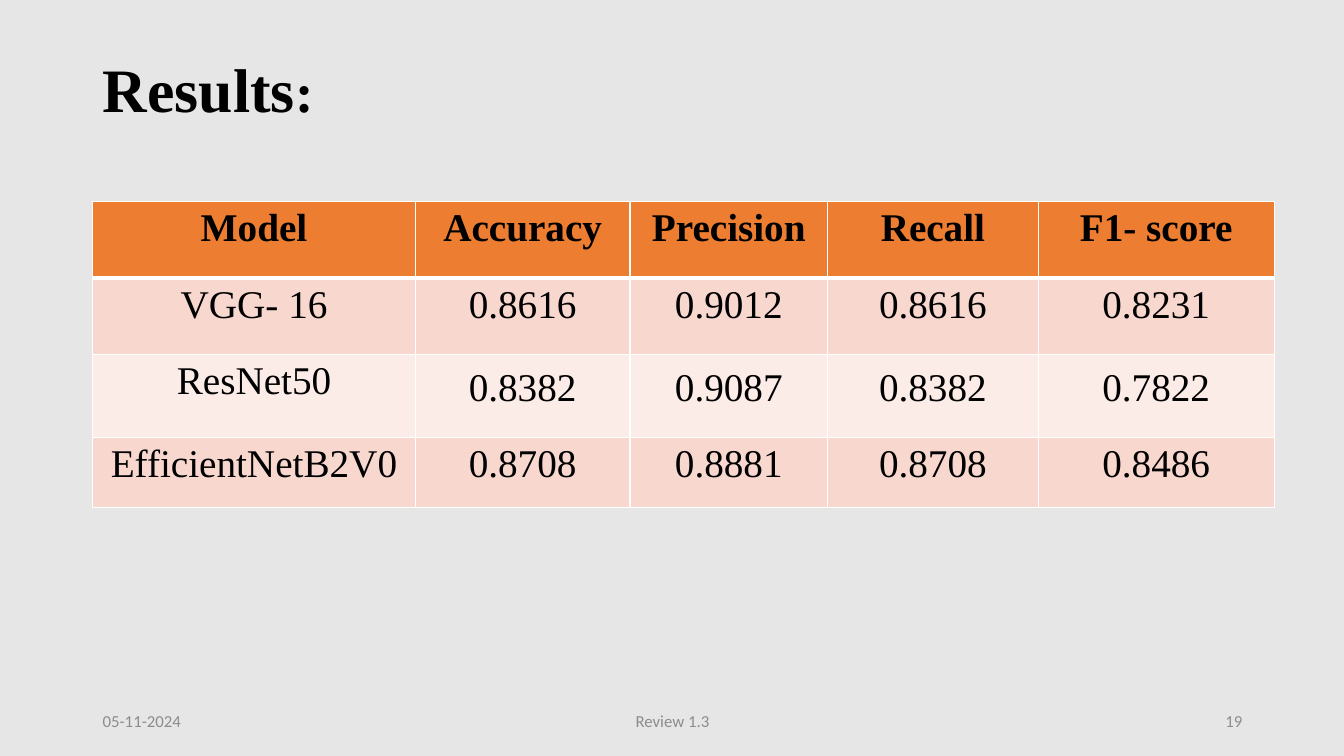
from dataclasses import dataclass

from lxml.etree import SubElement
from pptx import Presentation
from pptx.dml.color import RGBColor
from pptx.enum.text import MSO_ANCHOR, MSO_AUTO_SIZE, PP_ALIGN
from pptx.oxml.ns import qn
from pptx.util import Inches, Pt

WIDE, HIGH = Inches(13.33), Inches(7.5)


@dataclass(frozen=True)
class Theme:
    back: str = "E7E6E6"
    ink: str = "000000"
    mute: str = "8C8C8C"
    line: str = "FFFFFF"
    head: str = "ED7D31"
    bands: tuple = ("F8D7CE", "FCECE8")
    serif: str = "Times New Roman"
    sans: str = "Calibri"
    title: float = 44.1
    colon: float = 39.6
    cell: float = 28
    foot: float = 12


THEME = Theme()

COLS = (24, 15.98, 14.7, 15.68, 17.55)
ROWS = (10.13, 10.13, 10.93, 9.33)
DATA = (
    ("Model", "Accuracy", "Precision", "Recall", "F1- score"),
    ("VGG- 16", "0.8616", "0.9012", "0.8616", "0.8231"),
    ("ResNet50", "0.8382", "0.9087", "0.8382", "0.7822"),
    ("EfficientNetB2V0", "0.8708", "0.8881", "0.8708", "0.8486"),
)
LOW_ROW = 2
FOOTS = (
    (6.9, 22.5, "05-11-2024", PP_ALIGN.LEFT),
    (33.16, 33.76, "Review 1.3", PP_ALIGN.CENTER),
    (70.67, 22.5, "19", PP_ALIGN.RIGHT),
)


def across(share):
    return round(WIDE * share / 100)


def down(share):
    return round(HIGH * share / 100)


def area(left, top, width, height):
    return across(left), down(top), across(width), down(height)


def style(font, face, size, tone, bold=False):
    font.name, font.size, font.bold = face, Pt(size), bold
    font.color.rgb = RGBColor.from_string(tone)


def add_title(slide):
    title = slide.shapes.title
    title.left, title.top, title.width, title.height = area(6.9, 9.07, 85.15, 6.27)
    frame = title.text_frame
    frame.auto_size = MSO_AUTO_SIZE.NONE
    frame.vertical_anchor = MSO_ANCHOR.MIDDLE
    para = frame.paragraphs[0]
    para.alignment, para.line_spacing = PP_ALIGN.LEFT, 0.9
    style(para.font, THEME.serif, THEME.title, THEME.ink, True)
    for text, size in (("Results", THEME.title), (":", THEME.colon)):
        run = para.add_run()
        run.text = text
        run.font.size = Pt(size)


def add_edge(cell, side, width):
    edge = SubElement(cell._tc.get_or_add_tcPr(), qn(f"a:ln{side}"), w=str(Pt(width)))
    fill = SubElement(edge, qn("a:solidFill"))
    SubElement(fill, qn("a:srgbClr"), val=THEME.line)


def fill_cell(cell, text, row, col):
    for side in "LRTB":
        thick = (row, side) in ((0, "B"), (1, "T"))
        add_edge(cell, side, 3 if thick else 1)
    cell.fill.solid()
    tone = THEME.bands[(row - 1) % 2] if row else THEME.head
    cell.fill.fore_color.rgb = RGBColor.from_string(tone)
    if row == LOW_ROW and col:
        cell.margin_top = Inches(0.12)
    cell.text = text
    para = cell.text_frame.paragraphs[0]
    para.alignment = PP_ALIGN.CENTER
    style(para.font, THEME.serif, THEME.cell, THEME.ink, row == 0)


def add_grid(slide):
    place = area(6.9, 26.67, sum(COLS), sum(ROWS))
    table = slide.shapes.add_table(len(ROWS), len(COLS), *place).table
    for col, share in zip(table.columns, COLS):
        col.width = across(share)
    for row, share in zip(table.rows, ROWS):
        row.height = down(share)
    for row, texts in enumerate(DATA):
        for col, text in enumerate(texts):
            fill_cell(table.cell(row, col), text, row, col)


def add_foot(slide, left, width, text, align):
    frame = slide.shapes.add_textbox(*area(left, 92.67, width, 5.33)).text_frame
    frame.word_wrap = True
    frame.vertical_anchor = MSO_ANCHOR.MIDDLE
    para = frame.paragraphs[0]
    para.text, para.alignment = text, align
    style(para.font, THEME.sans, THEME.foot, THEME.mute)


def main():
    deck = Presentation()
    deck.slide_width, deck.slide_height = WIDE, HIGH
    slide = deck.slides.add_slide(deck.slide_layouts[5])
    slide.background.fill.solid()
    slide.background.fill.fore_color.rgb = RGBColor.from_string(THEME.back)
    add_title(slide)
    add_grid(slide)
    for foot in FOOTS:
        add_foot(slide, *foot)
    deck.save("out.pptx")


if __name__ == "__main__":
    main()
